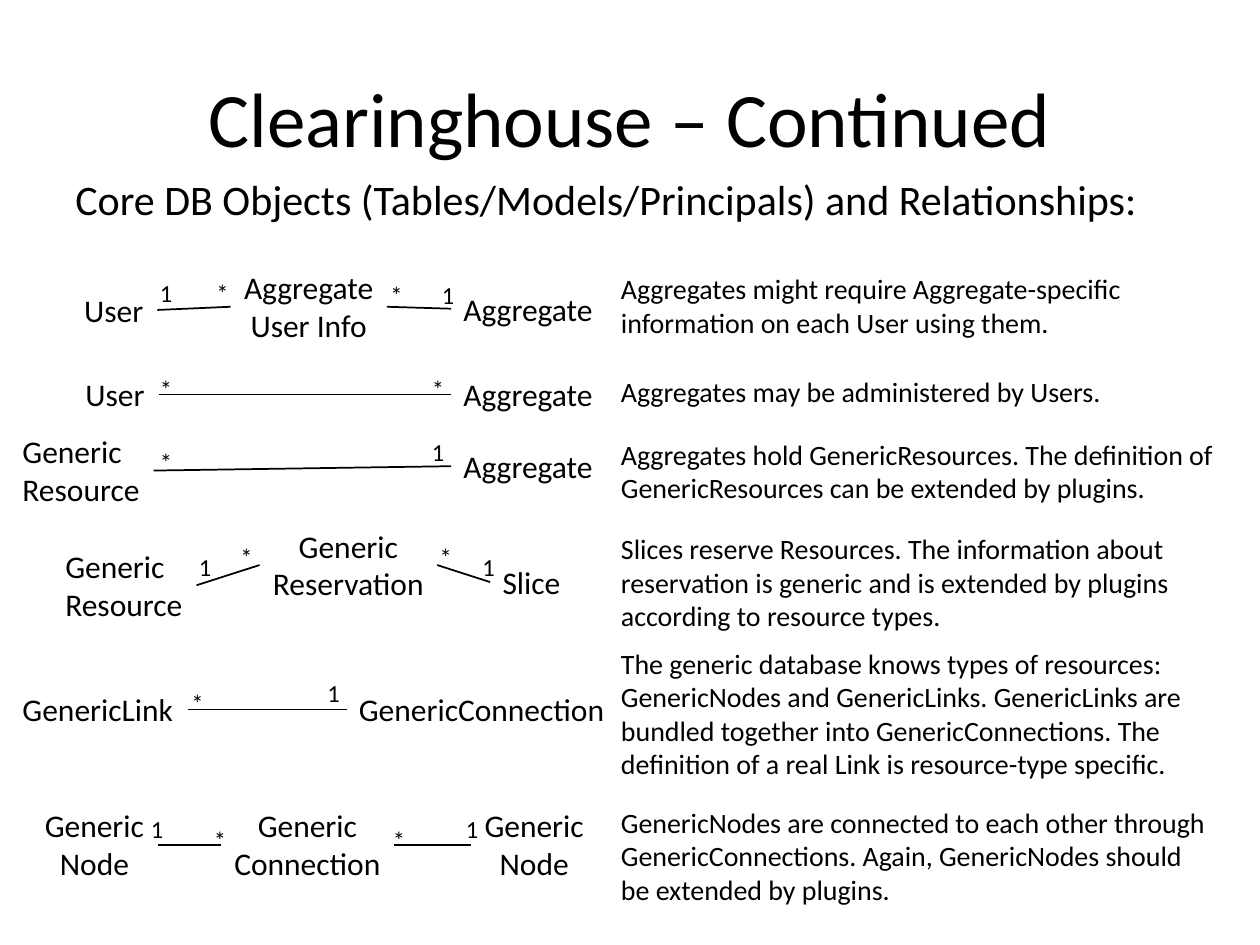
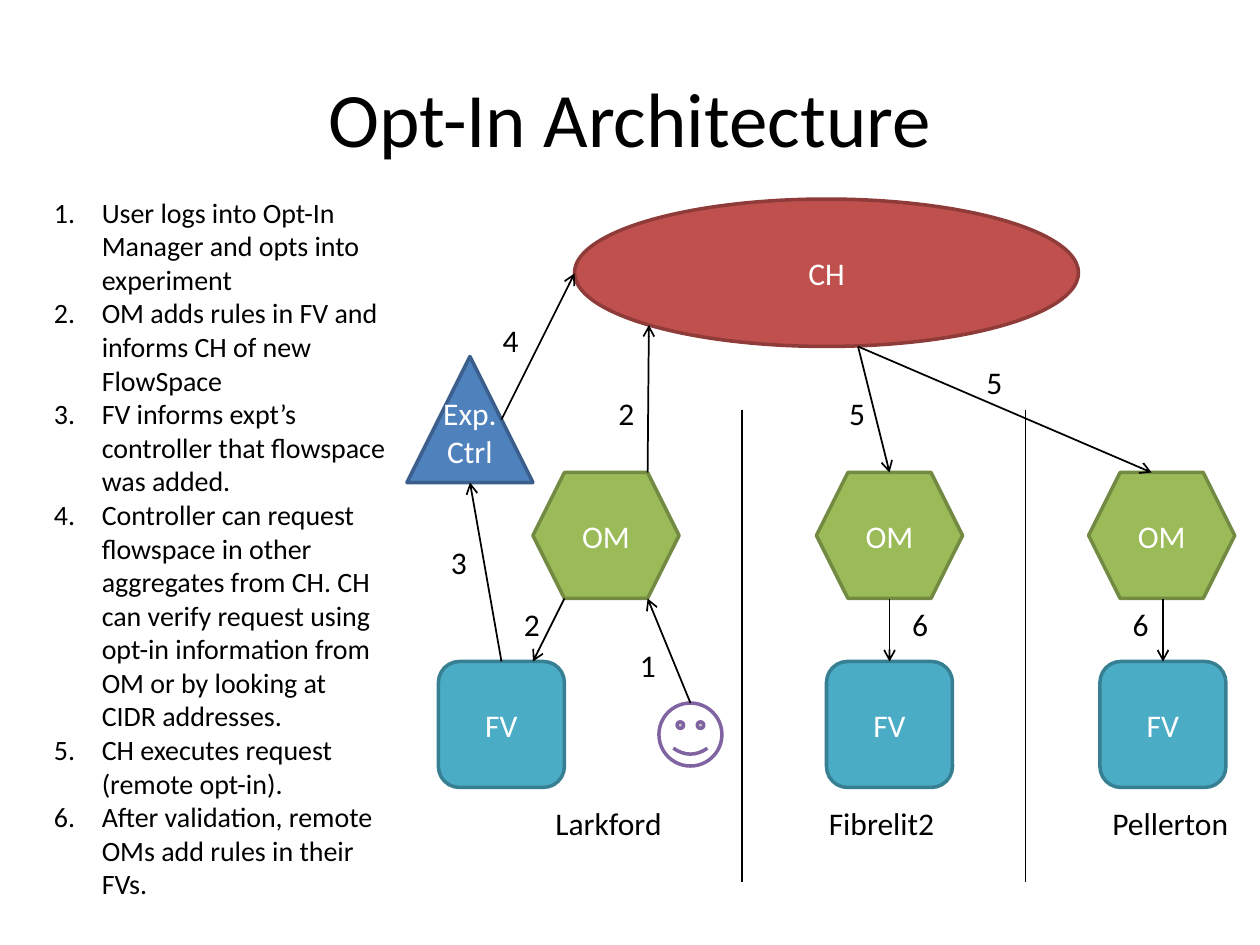
from lxml import etree
from pptx import Presentation, util as u
from pptx.dml.color import RGBColor
from pptx.enum import shapes, text
from pptx.oxml.ns import qn

Inches = u.Inches
FONT = "Calibri"
BLACK, WHITE = RGBColor(0, 0, 0), RGBColor(255, 255, 255)
RED, DARK_RED = RGBColor(0xC0, 0x50, 0x4D), RGBColor(0x8E, 0x3B, 0x39)
BLUE, DARK_BLUE = RGBColor(0x4F, 0x81, 0xBD), RGBColor(0x3A, 0x5F, 0x8C)
GREEN, DARK_GREEN = RGBColor(0x9B, 0xBB, 0x59), RGBColor(0x73, 0x8A, 0x42)
TEAL, DARK_TEAL = RGBColor(0x4B, 0xAC, 0xC6), RGBColor(0x37, 0x7F, 0x92)
PURPLE = RGBColor(0x80, 0x64, 0xA2)
LEFT, CENTER = text.PP_ALIGN.LEFT, text.PP_ALIGN.CENTER
KIND = shapes.MSO_SHAPE

# ---- Content: database relationships ----
HEADING = "Core DB Objects (Tables/Models/Principals) and Relationships:"
ENTITY_WIDTH = {
    "User": 0.68, "Aggregate\nUser Info": 1.24, "Aggregate": 1.24,
    "Generic\nResource": 1.14, "Generic\nReservation": 1.41, "Slice": 0.67,
    "GenericLink": 1.41, "GenericConnection": 2.18,
    "Generic\nNode": 1, "Generic\nConnection": 1.38,
}
CENTERED = {"Aggregate\nUser Info", "Generic\nReservation", "Generic\nNode",
            "Generic\nConnection"}
# entities: name, left, top; marks: multiplicity, left, top; note: top, width, height, words
RELATIONS = [
    dict(entities=[("User", 0.57, 2.26), ("Aggregate\nUser Info", 1.83, 2.08),
                   ("Aggregate", 3.58, 2.25)],
         marks=[("1", 1.17, 2.16), ("*", 1.62, 2.16), ("*", 3, 2.17), ("1", 3.41, 2.17)],
         note=(2.11, 4.67, 0.64, "Aggregates might require Aggregate-specific "
               "information on each User using them.")),
    dict(entities=[("User", 0.58, 2.93), ("Aggregate", 3.58, 2.93)],
         marks=[("*", 1.17, 2.92), ("*", 3.33, 2.92)],
         note=(2.92, 4.67, 0.37, "Aggregates may be administered by Users.")),
    dict(entities=[("Generic\nResource", 0.08, 3.38), ("Aggregate", 3.58, 3.5)],
         marks=[("*", 1.17, 3.5), ("1", 3.33, 3.42)],
         note=(3.42, 4.92, 0.64, "Aggregates hold GenericResources. The definition of "
               "GenericResources can be extended by plugins.")),
    dict(entities=[("Generic\nResource", 0.42, 4.29), ("Generic\nReservation", 2.06, 4.13),
                   ("Slice", 3.89, 4.42)],
         marks=[("1", 1.48, 4.33), ("*", 1.81, 4.25), ("*", 3.39, 4.25), ("1", 3.73, 4.33)],
         note=(4.17, 4.92, 0.91, "Slices reserve Resources. The information about "
               "reservation is generic and is extended by plugins according to "
               "resource types.")),
    dict(entities=[("GenericLink", 0.08, 5.43), ("GenericConnection", 2.75, 5.43)],
         marks=[("*", 1.42, 5.41), ("1", 2.5, 5.33)],
         note=(5.08, 4.92, 1.18, "The generic database knows types of resources: "
               "GenericNodes and GenericLinks. GenericLinks are bundled together into "
               "GenericConnections. The definition of a real Link is resource-type "
               "specific.")),
    dict(entities=[("Generic\nNode", 0.25, 6.35), ("Generic\nConnection", 1.75, 6.35),
                   ("Generic\nNode", 3.74, 6.35)],
         marks=[("1", 1.1, 6.41), ("*", 1.6, 6.5), ("*", 3.02, 6.5), ("1", 3.6, 6.41)],
         note=(6.34, 4.92, 0.91, "GenericNodes are connected to each other through "
               "GenericConnections. Again, GenericNodes should be extended by plugins.")),
]

# ---- Content: opt-in architecture ----
STEPS = [
    "User logs into Opt-In Manager and opts into experiment",
    "OM adds rules in FV and informs CH of new FlowSpace",
    "FV informs expt\u2019s controller that flowspace was added.",
    "Controller can request flowspace in other aggregates from CH. CH can verify "
    "request using opt-in information from OM or by looking at CIDR addresses.",
    "CH executes request (remote opt-in).",
    "After validation, remote OMs add rules in their FVs.",
]
# site name, its left and width, left of OM, left of FV
SITES = [("Larkford", 4.31, 1.07, 4.23, 3.48),
         ("Fibrelit2", 6.48, 1.16, 6.48, 6.56),
         ("Pellerton", 8.73, 1.19, 8.64, 8.73)]
DIVIDERS = [5.89, 8.14]
OM_TOP, OM_BOTTOM, FV_TOP = 3.75, 4.75, 5.25
ARROWS = [
    ((5.48, 5.58), (5.14, OM_BOTTOM)),    # user to OM
    ((4.48, OM_BOTTOM), (4.23, FV_TOP)),  # OM to FV
    ((3.98, FV_TOP), (3.73, 3.83)),       # FV to controller
    ((5.14, OM_TOP), (5.15, 2.58)),       # OM to CH
    ((3.98, 3.33), (4.56, 2.17)),         # controller to CH
    ((6.81, 2.75), (7.06, OM_TOP)),       # CH to remote OMs
    ((6.81, 2.75), (9.14, OM_TOP)),
    ((7.06, OM_BOTTOM), (7.06, FV_TOP)),  # remote OMs to their FVs
    ((9.23, OM_BOTTOM), (9.23, FV_TOP)),
]
STEP_LABELS = [("1", 4.98, 5.08), ("2", 4.81, 3.08), ("2", 4.06, 4.75), ("3", 3.48, 4.26),
               ("4", 3.89, 2.5), ("5", 6.64, 3.08), ("5", 7.73, 2.83),
               ("6", 7.14, 4.75), ("6", 8.89, 4.75)]


# ---- Helpers ----
def write(frame, lines, size, color=BLACK, align=LEFT):
    for index, line in enumerate(lines):
        para = frame.paragraphs[0] if index == 0 else frame.add_paragraph()
        para.alignment = align
        span = para.add_run()
        span.text = line
        span.font.name, span.font.size = FONT, u.Pt(size)
        span.font.color.rgb = color


def add_text(page, area, lines, size, align=LEFT, wrap=True, grow=True):
    box = page.shapes.add_textbox(*map(Inches, area))
    frame = box.text_frame
    frame.word_wrap = wrap
    if grow:
        frame.auto_size = text.MSO_AUTO_SIZE.SHAPE_TO_FIT_TEXT
    write(frame, lines, size, align=align)
    return box


def hang(para, numbered=False):
    props = para._p.get_or_add_pPr()
    props.set("marL", str(Inches(0.38)))
    props.set("indent", str(-Inches(0.38)))
    if numbered:
        etree.SubElement(props, qn("a:buFont"), typeface="+mj-lt")
        etree.SubElement(props, qn("a:buAutoNum"), type="arabicPeriod")


def add_line(page, start=(0, 0), end=(0, 0), arrow=False):
    line = page.shapes.add_connector(shapes.MSO_CONNECTOR.STRAIGHT,
                                     *map(Inches, (*start, *end)))
    line.line.color.rgb, line.line.width = BLACK, u.Pt(1)
    if arrow:
        etree.SubElement(line.line._get_or_add_ln(), qn("a:tailEnd"), type="arrow")
    etree.SubElement(line._element.spPr, qn("a:effectLst"))
    return line


def add_node(page, kind, area, fill, edge, lines=()):
    node = page.shapes.add_shape(kind, *map(Inches, area))
    node.shadow.inherit = False
    node.fill.solid()
    node.fill.fore_color.rgb = fill
    node.line.color.rgb, node.line.width = edge, u.Pt(2)
    node.text_frame.vertical_anchor = text.MSO_ANCHOR.MIDDLE
    write(node.text_frame, lines, 18, WHITE, CENTER)
    return node


def add_page(deck, title):
    page = deck.slides.add_slide(deck.slide_layouts[6])
    box = add_text(page, (0.5, 0.3, 9, 1.25), [title], 44, CENTER, grow=False)
    box.text_frame.vertical_anchor = text.MSO_ANCHOR.MIDDLE
    return page


deck = Presentation()
deck.slide_width, deck.slide_height = Inches(10), Inches(7.5)

# ---- Slide 1: relationships ----
page = add_page(deck, "Clearinghouse \u2013 Continued")
heading = add_text(page, (0.5, 1.33, 9, 0.92), [HEADING], 24, grow=False)
heading.text_frame.paragraphs[0].space_before = u.Pt(4.8)
hang(heading.text_frame.paragraphs[0])

for relation in RELATIONS:
    boxes = []
    for name, left, top in relation["entities"]:
        lines = name.split("\n")
        area = (left, top, ENTITY_WIDTH[name], 0.4 if len(lines) == 1 else 0.71)
        align = CENTER if name in CENTERED else LEFT
        boxes.append(add_text(page, area, lines, 18, align, wrap=False))
    # join the right side of each entity to the left side of the next
    for first, second in zip(boxes, boxes[1:]):
        line = add_line(page)
        line.begin_connect(first, 3)
        line.end_connect(second, 1)
    for mark, left, top in relation["marks"]:
        add_text(page, (left, top, 0.33, 0.34), [mark], 14)
    top, width, height, words = relation["note"]
    add_text(page, (4.83, top, width, height), [words], 16)

# ---- Slide 2: architecture ----
page = add_page(deck, "Opt-In Architecture")
add_node(page, KIND.OVAL, (4.56, 1.58, 4, 1.17), RED, DARK_RED, ["CH"])
controller = add_node(page, KIND.ISOSCELES_TRIANGLE, (3.23, 2.83, 1, 1),
                      BLUE, DARK_BLUE, ["Exp.", "Ctrl"])
frame = controller.text_frame
frame.margin_left = frame.margin_right = 0
frame.margin_bottom = Inches(0.35)  # lifts the words inside the triangle

for name, left, width, om_left, fv_left in SITES:
    add_node(page, KIND.HEXAGON, (om_left, OM_TOP, 1.16, 1), GREEN, DARK_GREEN, ["OM"])
    add_node(page, KIND.ROUNDED_RECTANGLE, (fv_left, FV_TOP, 1, 1), TEAL, DARK_TEAL, ["FV"])
    add_text(page, (left, 6.33, width, 0.4), [name], 18, wrap=False)
add_node(page, KIND.SMILEY_FACE, (5.23, 5.58, 0.5, 0.5), WHITE, PURPLE)

for x in DIVIDERS:
    add_line(page, (x, 3.25), (x, 7))
for start, end in ARROWS:
    add_line(page, start, end, arrow=True)
for label, left, top in STEP_LABELS:
    add_text(page, (left, top, 0.33, 0.4), [label], 18, wrap=False)

steps = add_text(page, (0.33, 1.5, 2.83, 5.92), STEPS, 16)
for para in steps.text_frame.paragraphs:
    hang(para, numbered=True)

deck.save("out.pptx")
